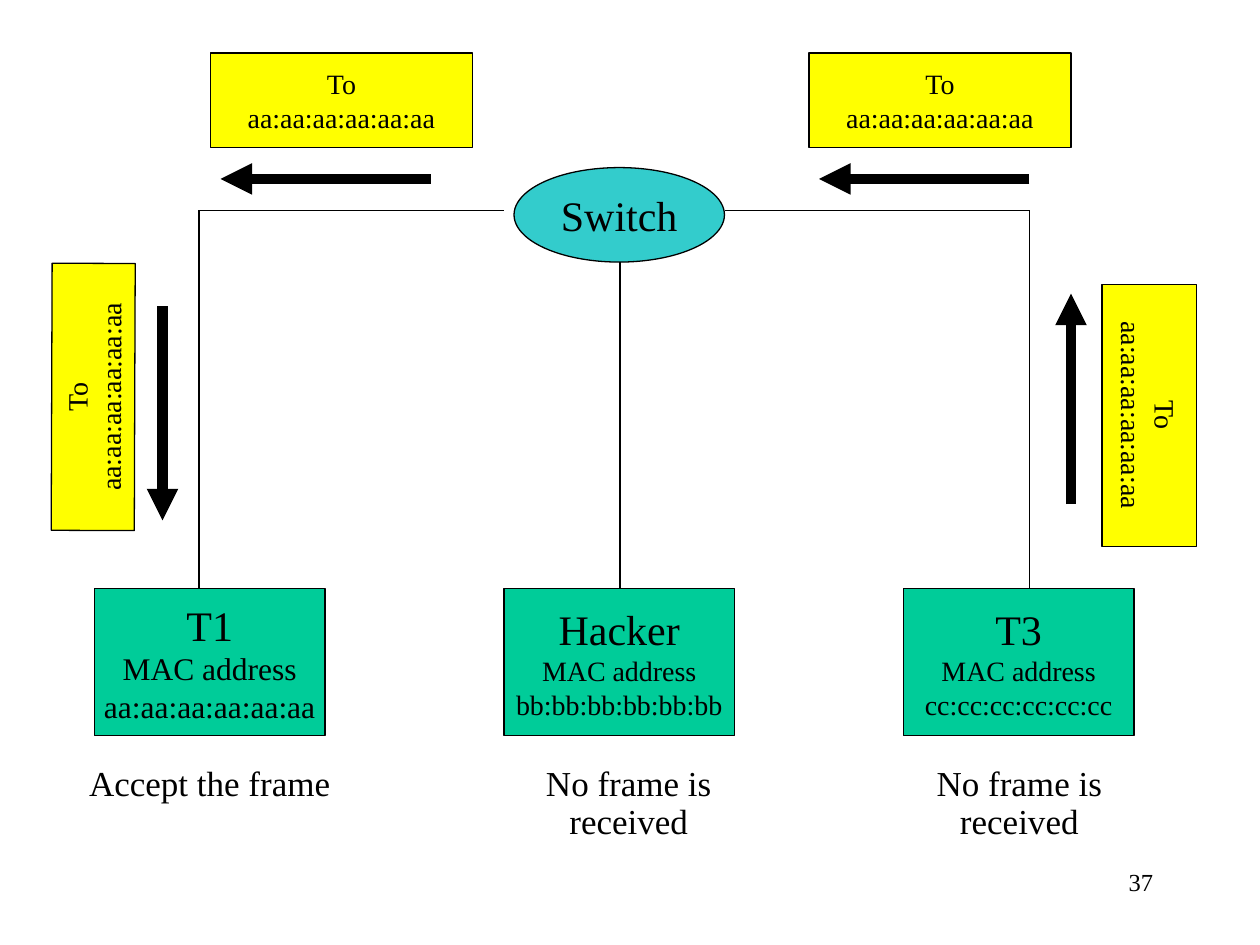
from lxml import etree
from pptx import Presentation
from pptx.dml.color import RGBColor
from pptx.enum.shapes import MSO_CONNECTOR, MSO_SHAPE
from pptx.enum.text import MSO_ANCHOR, PP_ALIGN
from pptx.oxml.ns import qn
from pptx.util import Inches, Pt

RECTANGLE, ELLIPSE = MSO_SHAPE.RECTANGLE, MSO_SHAPE.OVAL
STRAIGHT = MSO_CONNECTOR.STRAIGHT
TOP, MIDDLE = MSO_ANCHOR.TOP, MSO_ANCHOR.MIDDLE
CENTER, RIGHT = PP_ALIGN.CENTER, PP_ALIGN.RIGHT

FONT = "Times New Roman"
BLACK, GREEN, TEAL, YELLOW = "000000", "00CC99", "33CCCC", "FFFF00"
BLANK_LAYOUT = 6
TARGET = "aa:aa:aa:aa:aa:aa"


def color(value):
    return RGBColor.from_string(value)


def write_text(shape, lines, sizes, align=CENTER, anchor=MIDDLE, wrap=False,
               spacing=None, margin=None):
    """Write one paragraph per line, each with its own size."""
    frame = shape.text_frame
    frame.word_wrap = wrap
    frame.vertical_anchor = anchor
    if margin is not None:
        frame.margin_left = frame.margin_right = Inches(margin)
        frame.margin_top = frame.margin_bottom = Inches(margin)
    for index, (line, size) in enumerate(zip(lines, sizes)):
        paragraph = frame.add_paragraph() if index else frame.paragraphs[0]
        paragraph.text = line
        paragraph.alignment = align
        if spacing:
            paragraph.line_spacing = spacing
        for run in paragraph.runs:
            run.font.name = FONT
            run.font.size = Pt(size)
            run.font.color.rgb = color(BLACK)


def add_box(shapes, kind, bounds, fill, lines, sizes, rotation=0):
    shape = shapes.add_shape(kind, *map(Inches, bounds))
    shape.shadow.inherit = False
    shape.fill.solid()
    shape.fill.fore_color.rgb = color(fill)
    shape.line.color.rgb = color(BLACK)
    shape.line.width = Pt(0.75)
    shape.rotation = rotation
    write_text(shape, lines, sizes)


def add_line(shapes, points, width=0.75, arrow=False):
    connector = shapes.add_connector(STRAIGHT, *map(Inches, points))
    connector.line.color.rgb = color(BLACK)
    connector.line.width = Pt(width)
    if arrow:
        etree.SubElement(connector.line._get_or_add_ln(), qn("a:tailEnd"),
                         type="triangle")
    etree.SubElement(connector._element.spPr, qn("a:effectLst"))


def add_label(shapes, bounds, text, size, **text_format):
    label = shapes.add_textbox(*map(Inches, bounds))
    write_text(label, [text], [size], anchor=TOP, **text_format)


def add_frame(slide, bounds, arrow_points, rotation=0):
    """Group a travelling frame with the arrow of its direction."""
    shapes = slide.shapes.add_group_shape().shapes
    add_box(shapes, RECTANGLE, bounds, YELLOW, ["To", TARGET], [16, 16],
            rotation)
    add_line(shapes, arrow_points, width=6, arrow=True)


def main():
    presentation = Presentation()
    presentation.slide_width = Inches(10)
    presentation.slide_height = Inches(7.5)
    slide = presentation.slides.add_slide(
        presentation.slide_layouts[BLANK_LAYOUT])
    shapes = slide.shapes

    # Stations and switch
    stations = [
        (0.75, "T1", TARGET, 18),
        (4, "Hacker", "bb:bb:bb:bb:bb:bb", 16),
        (7.17, "T3", "cc:cc:cc:cc:cc:cc", 16),
    ]
    for left, name, address, size in stations:
        add_box(shapes, RECTANGLE, (left, 4.67, 1.83, 1.17), GREEN,
                [name, "MAC address", address], [24, size, size])
    add_box(shapes, ELLIPSE, (4.08, 1.33, 1.67, 0.75), TEAL, ["Switch"], [24])

    # Cables
    add_line(shapes, (4.92, 2.08, 4.92, 4.67))
    for outer, inner in [(1.58, 4), (8.17, 5.75)]:
        add_line(shapes, (outer, 4.67, outer, 1.67))
        add_line(shapes, (outer, 1.67, inner, 1.67))

    # Frames on their way from T3 to T1
    for left in (6.42, 1.67):
        add_frame(slide, (left, 0.42, 2.08, 0.75),
                  (left + 1.75, 1.42, left + 0.08, 1.42))
    add_frame(slide, (-0.32, 2.82, 2.12, 0.66), (1.29, 2.43, 1.29, 4.13),
              rotation=270.2)
    add_frame(slide, (8.08, 2.92, 2.08, 0.75), (8.5, 4, 8.5, 2.33),
              rotation=90)

    # Outcomes and page number
    outcomes = [
        (0.58, 2.17, "Accept the frame"),
        (3.83, 2.32, "No frame is\vreceived"),
        (6.93, 2.32, "No frame is\vreceived"),
    ]
    for left, width, text in outcomes:
        add_label(shapes, (left, 6.08, width, 0.3), text, 20, wrap=True,
                  spacing=0.9, margin=0)
    add_label(shapes, (7.17, 6.83, 2.08, 0.5), "37", 14, align=RIGHT,
              wrap=True)

    presentation.save("out.pptx")


main()
